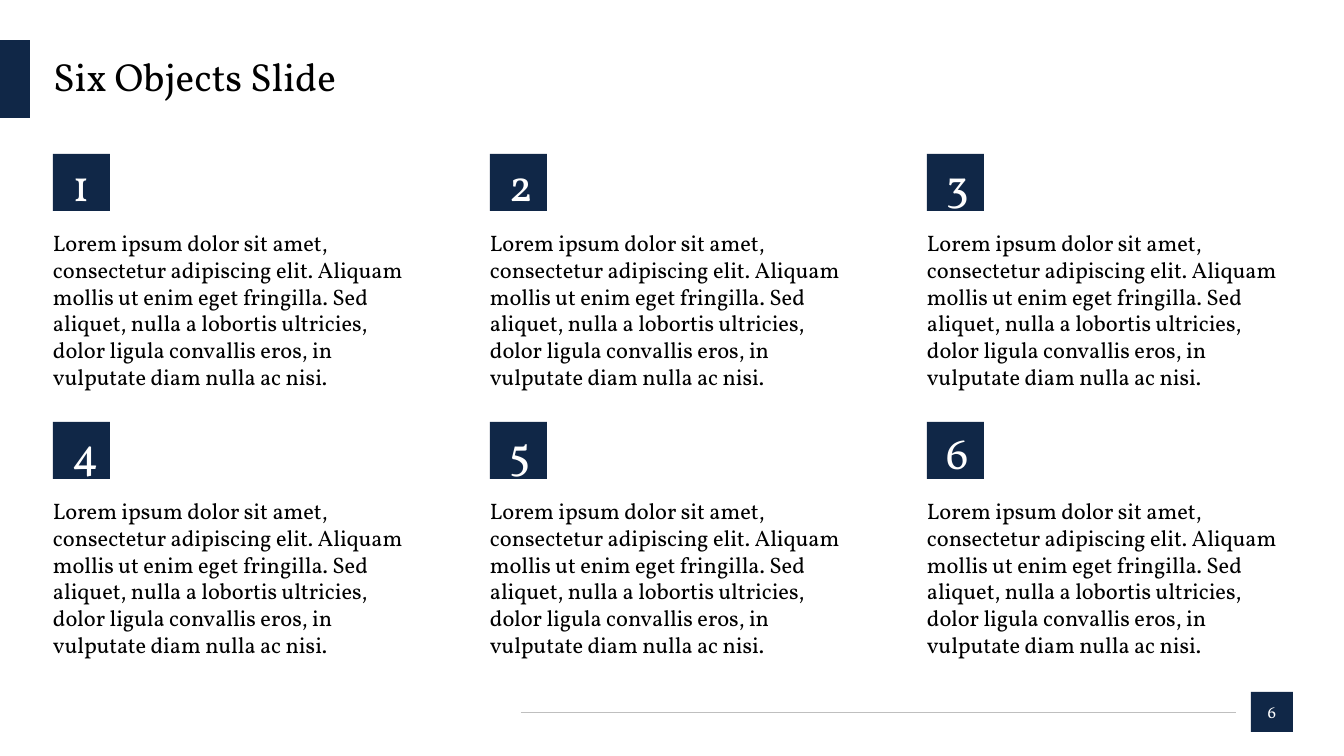
from dataclasses import dataclass

from lxml.etree import SubElement
from pptx import Presentation
from pptx.dml.color import RGBColor
from pptx.enum.shapes import MSO_CONNECTOR, MSO_SHAPE
from pptx.enum.text import MSO_ANCHOR, MSO_AUTO_SIZE, PP_ALIGN
from pptx.oxml.ns import qn
from pptx.util import Pt

EMU_PER_PX = 914400 / 100.8
LOREM = (
    "Lorem ipsum dolor sit amet, consectetur adipiscing elit. Aliquam mollis "
    "ut enim eget fringilla. Sed aliquet, nulla a lobortis ultricies, dolor "
    "ligula convallis eros, in vulputate diam nulla ac nisi."
)
OBJECTS = [LOREM] * 6
COLUMNS = 3
LEFT, TOP = 53, 154
COLUMN_STEP, ROW_STEP = 437, 268


@dataclass(frozen=True)
class Theme:
    font: str = "Vollkorn"
    navy: RGBColor = RGBColor(0x10, 0x27, 0x47)
    ink: RGBColor = RGBColor(0, 0, 0)
    white: RGBColor = RGBColor(0xFF, 0xFF, 0xFF)
    rule: RGBColor = RGBColor(0xBF, 0xBF, 0xBF)
    title: int = 28
    body: int = 16
    badge: int = 32
    page: int = 12


THEME = Theme()


def px(*lengths):
    """Turn pixel lengths into a list of EMU."""
    return [round(n * EMU_PER_PX) for n in lengths]


def write(tf, text, size, color, align=PP_ALIGN.LEFT, anchor=MSO_ANCHOR.TOP,
          fit=MSO_AUTO_SIZE.NONE, wrap=True):
    """Fill a text frame with one paragraph, without insets, and return it."""
    tf.margin_left = tf.margin_top = tf.margin_right = tf.margin_bottom = 0
    tf.word_wrap = wrap
    tf.auto_size = fit
    tf.vertical_anchor = anchor
    p = tf.paragraphs[0]
    p.text = text
    p.alignment = align
    p.font.name = THEME.font
    p.font.size = Pt(size)
    p.font.color.rgb = color
    return p


def add_title(slide, text):
    sp = slide.shapes.title
    sp.left, sp.top, sp.width, sp.height = px(LEFT, 40, 1241, 78)
    p = write(sp.text_frame, text, THEME.title, THEME.ink,
              anchor=MSO_ANCHOR.MIDDLE)
    p.line_spacing = 0.9


def add_block(shapes, x, y, w, h):
    """Add a plain navy rectangle."""
    sp = shapes.add_shape(MSO_SHAPE.RECTANGLE, *px(x, y, w, h))
    sp.shadow.inherit = False
    sp.fill.solid()
    sp.fill.fore_color.rgb = THEME.navy
    sp.line.fill.background()
    return sp


def add_badge(slide, number, x, y):
    """Add a numbered square as one group."""
    shapes = slide.shapes.add_group_shape().shapes
    add_block(shapes, x, y, 57, 57)
    label = shapes.add_textbox(*px(x + 19, y + 6, 18, 47))
    write(label.text_frame, str(number), THEME.badge, THEME.white,
          PP_ALIGN.CENTER, MSO_ANCHOR.MIDDLE, MSO_AUTO_SIZE.SHAPE_TO_FIT_TEXT,
          wrap=False)


def add_body(slide, text, x, y):
    sp = slide.shapes.add_textbox(*px(x, y, 367, 136))
    p = write(sp.text_frame, text, THEME.body, THEME.ink,
              fit=MSO_AUTO_SIZE.SHAPE_TO_FIT_TEXT)
    p.space_after = Pt(12)


def add_footer(slide, page):
    sp = add_block(slide.shapes, 1251, 692, 42, 40)
    write(sp.text_frame, str(page), THEME.page, THEME.white,
          PP_ALIGN.CENTER, MSO_ANCHOR.MIDDLE)
    rule = slide.shapes.add_connector(MSO_CONNECTOR.STRAIGHT,
                                      *px(521, 712, 1236, 712))
    rule.line.color.rgb = THEME.rule
    rule.line.width = Pt(0.5)
    SubElement(rule._element.spPr, qn("a:effectLst"))


def main():
    prs = Presentation()
    prs.slide_width, prs.slide_height = px(1344, 756)
    slide = prs.slides.add_slide(prs.slide_layouts.get_by_name("Title Only"))
    add_title(slide, "Six Objects Slide")
    add_block(slide.shapes, 0, 40, 30, 78)
    add_footer(slide, 6)
    for i, text in enumerate(OBJECTS):
        row, col = divmod(i, COLUMNS)
        x, y = LEFT + col * COLUMN_STEP, TOP + row * ROW_STEP
        add_body(slide, text, x, y + 75)
        add_badge(slide, i + 1, x, y)
    prs.save("out.pptx")


if __name__ == "__main__":
    main()
